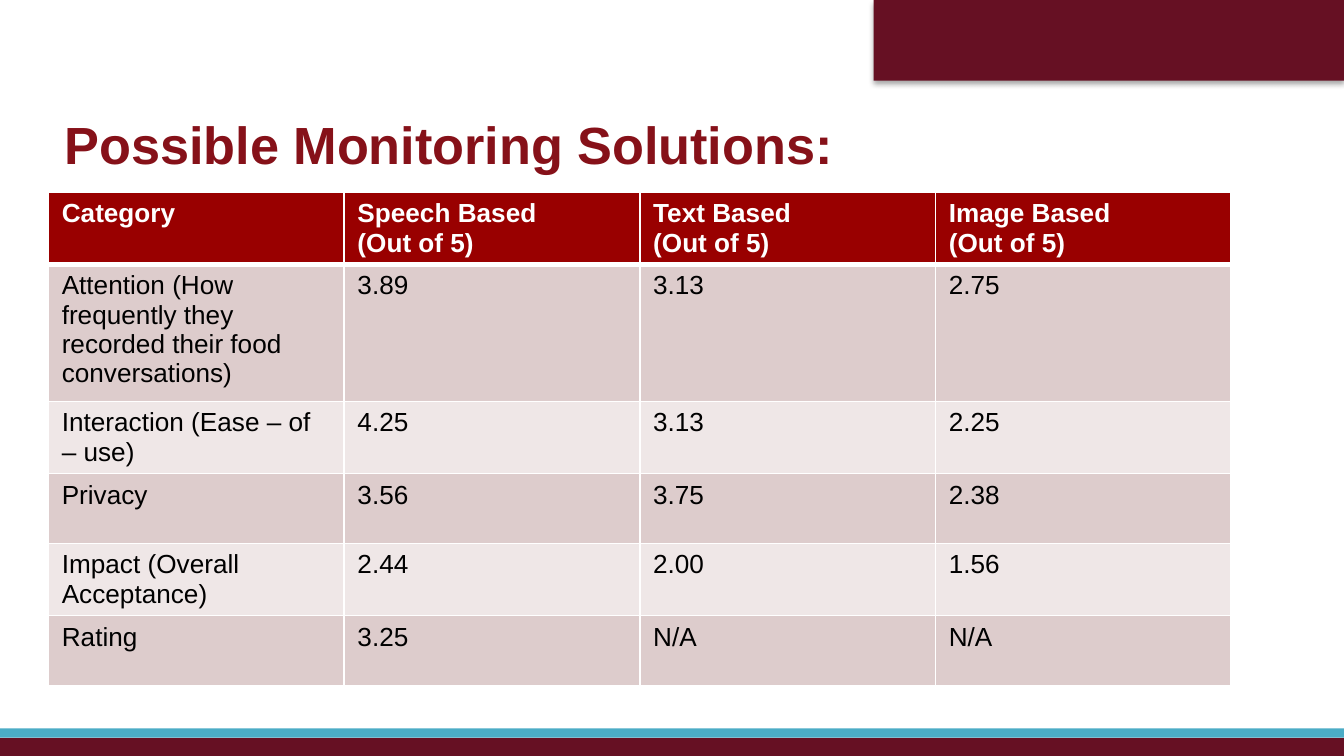
from lxml.etree import SubElement
from pptx import Presentation
from pptx.dml.color import RGBColor
from pptx.enum.shapes import MSO_SHAPE
from pptx.enum.text import MSO_ANCHOR
from pptx.oxml.ns import qn
from pptx.util import Inches, Pt

FONT = "Arial"
COLORS = {
    "maroon": "661023",
    "blue": "4BACC6",
    "title": "861119",
    "header": "990000",
    "odd_row": "DDCCCC",
    "even_row": "EFE7E7",
    "white": "FFFFFF",
    "black": "000000",
}
ROWS = [
    ["Category", "Speech Based\n(Out of 5)", "Text Based\n(Out of 5)", "Image Based\n(Out of 5)"],
    ["Attention (How frequently they recorded their food conversations)", "3.89", "3.13", "2.75"],
    ["Interaction (Ease – of – use)", "4.25", "3.13", "2.25"],
    ["Privacy", "3.56", "3.75", "2.38"],
    ["Impact (Overall Acceptance)", "2.44", "2.00", "1.56"],
    ["Rating", "3.25", "N/A", "N/A"],
]
ROW_HEIGHT, TALL_ROW_HEIGHT = 0.52, 1.02
HEADER_BORDERS = {"a:lnL": 0.96, "a:lnR": 0.96, "a:lnT": 0.96, "a:lnB": 3}


def rgb(name):
    return RGBColor.from_string(COLORS[name])


def format_text(tf, size, color, bold):
    for p in tf.paragraphs:
        for r in p.runs:
            r.font.name = FONT
            r.font.size = Pt(size)
            r.font.bold = bold
            r.font.color.rgb = rgb(color)


def add_bar(slide, x, y, w, h, color):
    sp = slide.shapes.add_shape(MSO_SHAPE.RECTANGLE, Inches(x), Inches(y), Inches(w), Inches(h))
    sp.fill.solid()
    sp.fill.fore_color.rgb = rgb(color)
    sp.line.fill.background()
    sp.shadow.inherit = False
    return sp


def add_shadow(sp, blur, distance, opacity):
    effects = sp._element.spPr.find(qn("a:effectLst"))
    shadow = SubElement(effects, qn("a:outerShdw"), blurRad=str(Pt(blur)),
                        dist=str(Pt(distance)), dir="5400000", rotWithShape="0")
    color = SubElement(shadow, qn("a:srgbClr"), val=COLORS["black"])
    SubElement(color, qn("a:alpha"), val=str(opacity * 1000))


def add_title(slide, text):
    box = slide.shapes.add_textbox(Inches(0.48), Inches(0.36), Inches(8), Inches(0.94))
    tf = box.text_frame
    tf.word_wrap = True
    tf.vertical_anchor = MSO_ANCHOR.BOTTOM
    tf.margin_left = tf.margin_right = tf.margin_top = tf.margin_bottom = 0
    tf.text = text
    format_text(tf, 28, "title", True)


def add_borders(cell, borders):
    tc_pr = cell._tc.get_or_add_tcPr()
    for tag, width in borders.items():
        ln = SubElement(tc_pr, qn(tag), w=str(Pt(width)))
        fill = SubElement(ln, qn("a:solidFill"))
        SubElement(fill, qn("a:srgbClr"), val=COLORS["white"])


def add_ratings_table(slide):
    frame = slide.shapes.add_table(len(ROWS), len(ROWS[0]), Inches(0.36), Inches(1.43),
                                   Inches(8.8), Inches(3.6))
    table = frame.table
    for i, values in enumerate(ROWS):
        table.rows[i].height = Inches(TALL_ROW_HEIGHT if i == 1 else ROW_HEIGHT)
        is_header = i == 0
        fill = "header" if is_header else "odd_row" if i % 2 else "even_row"
        for j, value in enumerate(values):
            cell = table.cell(i, j)
            cell.margin_bottom = Inches(0.02)
            if is_header:
                add_borders(cell, HEADER_BORDERS)
            cell.fill.solid()
            cell.fill.fore_color.rgb = rgb(fill)
            cell.text_frame.text = value
            format_text(cell.text_frame, 14, "white" if is_header else "black", is_header)


def main():
    prs = Presentation()
    prs.slide_width = Inches(10)
    prs.slide_height = prs.slide_width * 9 // 16
    slide = prs.slides.add_slide(prs.slide_layouts[6])
    banner = add_bar(slide, 6.5, 0, 3.5, 0.6, "maroon")
    add_shadow(banner, 3.1, 1.8, 35)
    add_bar(slide, 0, 5.49, 10, 0.14, "maroon")
    add_bar(slide, 0, 5.42, 10, 0.07, "blue")
    add_title(slide, "Possible Monitoring Solutions:")
    add_ratings_table(slide)
    prs.save("out.pptx")


if __name__ == "__main__":
    main()
